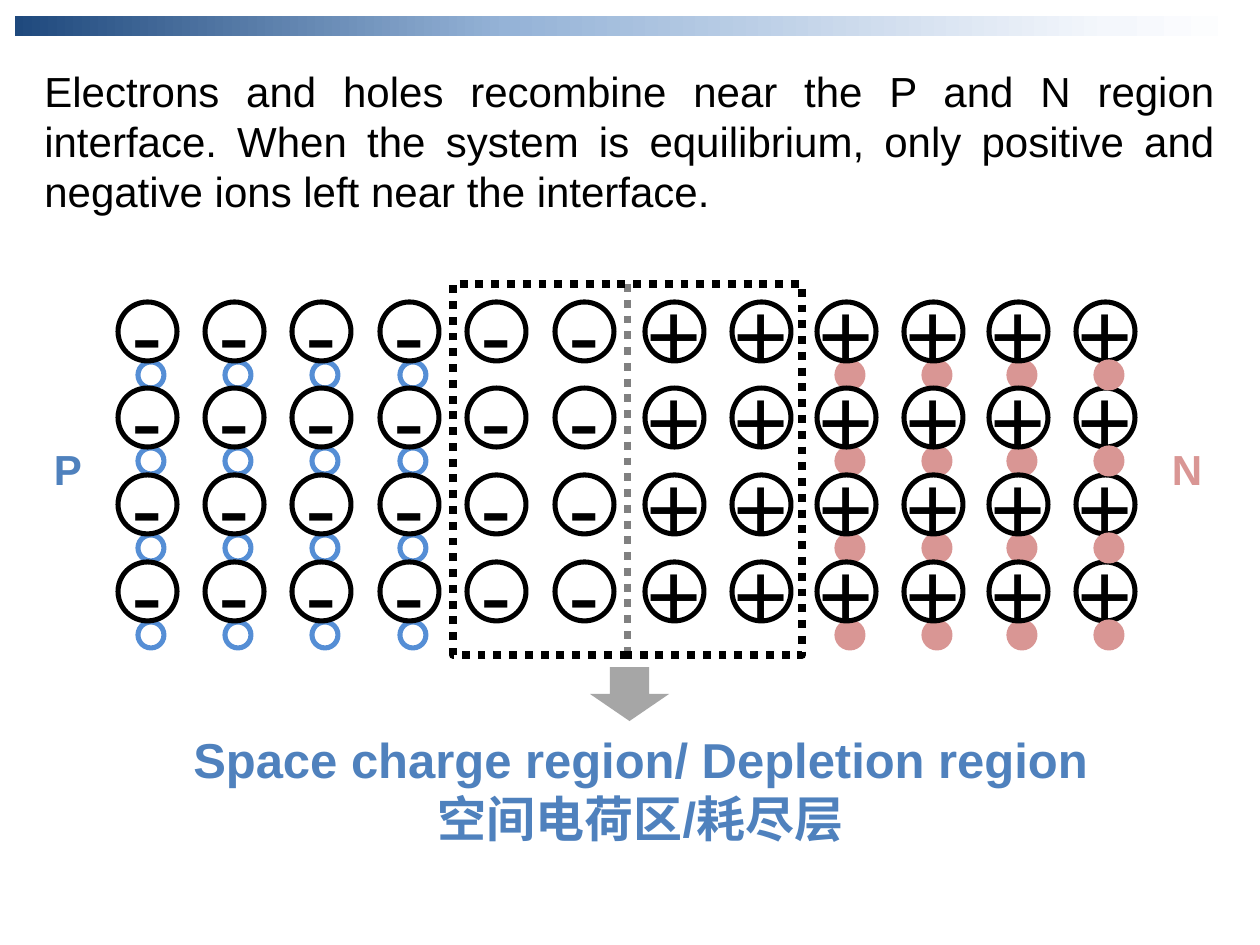
from copy import deepcopy
from pptx import Presentation
from pptx.dml.color import RGBColor
from pptx.enum.dml import MSO_LINE
from pptx.enum.shapes import MSO_CONNECTOR, MSO_SHAPE
from pptx.enum.text import MSO_ANCHOR, PP_ALIGN
from pptx.oxml.ns import qn
from pptx.oxml.xmlchemy import OxmlElement
from pptx.util import Emu, Pt

BLACK = RGBColor(0x00, 0x00, 0x00)
WHITE = RGBColor(0xFF, 0xFF, 0xFF)
GREY = RGBColor(0x80, 0x80, 0x80)
LIGHT_GREY = RGBColor(0xA6, 0xA6, 0xA6)
BLUE = RGBColor(0x4F, 0x81, 0xBD)
HOLE_BLUE = RGBColor(0x55, 0x8E, 0xD5)
PINK = RGBColor(0xD9, 0x96, 0x94)
BAR_STOPS = [
    (0, RGBColor(0x1F, 0x49, 0x7D)),
    (0.4, RGBColor(0x95, 0xB3, 0xD7)),
    (0.89, RGBColor(0xF4, 0xF7, 0xFC)),
    (1, WHITE),
]
ION, CARRIER, CARRIER_SHIFT = 59, 26, 20
ION_ROWS = [302 + 260 * i // 3 for i in range(4)]
CARRIER_ROWS = [y + 60 for y in ION_ROWS]
P_COLUMNS = [118 + 437 * i // 5 for i in range(6)]
N_COLUMNS = [645 + 172 * pair + 87 * i for pair in range(3) for i in range(2)]


def px(n):
    return Emu(n * 914400 // 126)


class Deck:
    font = "Arial"
    ring_width = 2.88
    dotted_width = 4.5

    def __init__(self, prs):
        self.slide = prs.slides.add_slide(prs.slide_layouts[6])

    def set_text(self, tf, text, size, color, bold=False, align=PP_ALIGN.CENTER):
        tf.text = text
        for p in tf.paragraphs:
            p.alignment = align
            for r in p.runs:
                r.font.name = self.font
                r.font.size = Pt(size)
                r.font.bold = bold
                r.font.color.rgb = color

    def text(self, x, y, w, h, text, size, color, **style):
        tf = self.slide.shapes.add_textbox(px(x), px(y), px(w), px(h)).text_frame
        tf.word_wrap = True
        self.set_text(tf, text, size, color, **style)

    def shape(self, kind, x, y, w, h, fill=None, line=None, width=ring_width):
        sp = self.slide.shapes.add_shape(kind, px(x), px(y), px(w), px(h))
        sp.shadow.inherit = False
        if fill is None:
            sp.fill.background()
        else:
            sp.fill.solid()
            sp.fill.fore_color.rgb = fill
        if line is None:
            sp.line.fill.background()
        else:
            sp.line.color.rgb = line
            sp.line.width = Pt(width)
        return sp

    def gradient_bar(self, x, y, w, h, stops):
        sp = self.shape(MSO_SHAPE.RECTANGLE, x, y, w, h)
        sp.fill.gradient()
        sp.fill.gradient_angle = 0
        gs_list = sp._element.spPr.find(".//" + qn("a:gsLst"))
        while len(gs_list) < len(stops):
            gs_list.append(deepcopy(gs_list[0]))
        for stop, (position, color) in zip(sp.fill.gradient_stops, stops):
            stop.position = position
            stop.color.rgb = color

    def ions(self, columns, sign):
        for x in columns:
            for y in ION_ROWS:
                sp = self.shape(MSO_SHAPE.OVAL, x, y, ION, ION, line=BLACK)
                sp.text_frame.word_wrap = False
                sp.text_frame.vertical_anchor = MSO_ANCHOR.MIDDLE
                self.set_text(sp.text_frame, sign, 54, BLACK)

    def carriers(self, columns, fill, line):
        for x in columns:
            for y in CARRIER_ROWS:
                self.shape(MSO_SHAPE.OVAL, x + CARRIER_SHIFT, y, CARRIER, CARRIER, fill, line)

    def dotted_line(self, x1, y1, x2, y2, color):
        cxn = self.slide.shapes.add_connector(
            MSO_CONNECTOR.STRAIGHT, px(x1), px(y1), px(x2), px(y2))
        cxn.line.color.rgb = color
        cxn.line.width = Pt(self.dotted_width)
        cxn.line.dash_style = MSO_LINE.ROUND_DOT
        cxn._element.spPr.append(OxmlElement("a:effectLst"))
        return cxn

    def dotted_frame(self, x, y, w, h, color):
        sp = self.shape(MSO_SHAPE.RECTANGLE, x, y, w, h, line=color, width=self.dotted_width)
        sp.line.dash_style = MSO_LINE.ROUND_DOT
        return sp


def main():
    prs = Presentation()
    prs.slide_width, prs.slide_height = px(1260), px(945)
    deck = Deck(prs)

    deck.gradient_bar(15, 16, 1230, 20, BAR_STOPS)
    deck.text(
        32, 59, 1195, 165,
        "Electrons and holes recombine near the P and N region interface. "
        "When the system is equilibrium, only positive and negative ions left "
        "near the interface.",
        24, BLACK, align=PP_ALIGN.JUSTIFY)

    deck.carriers(N_COLUMNS[2:5], PINK, PINK)
    deck.ions(N_COLUMNS, "+")
    deck.carriers(N_COLUMNS[5:], PINK, PINK)
    deck.carriers(P_COLUMNS[:4], WHITE, HOLE_BLUE)
    deck.ions(P_COLUMNS, "-")

    interface = deck.dotted_line(628, 284, 628, 655, GREY)
    depletion = deck.dotted_frame(453, 284, 349, 371, BLACK)
    interface.begin_connect(depletion, 0)
    interface.end_connect(depletion, 2)

    deck.shape(MSO_SHAPE.DOWN_ARROW, 590, 667, 79, 54, LIGHT_GREY)
    deck.text(178, 723, 925, 131, "Space charge region/ Depletion region\n空间电荷区/耗尽层",
              28, BLUE, bold=True)
    for x, label, color in [(21, "P", BLUE), (1140, "N", PINK)]:
        deck.text(x, 437, 94, 63, label, 24, color, bold=True)

    prs.save("out.pptx")


if __name__ == "__main__":
    main()
